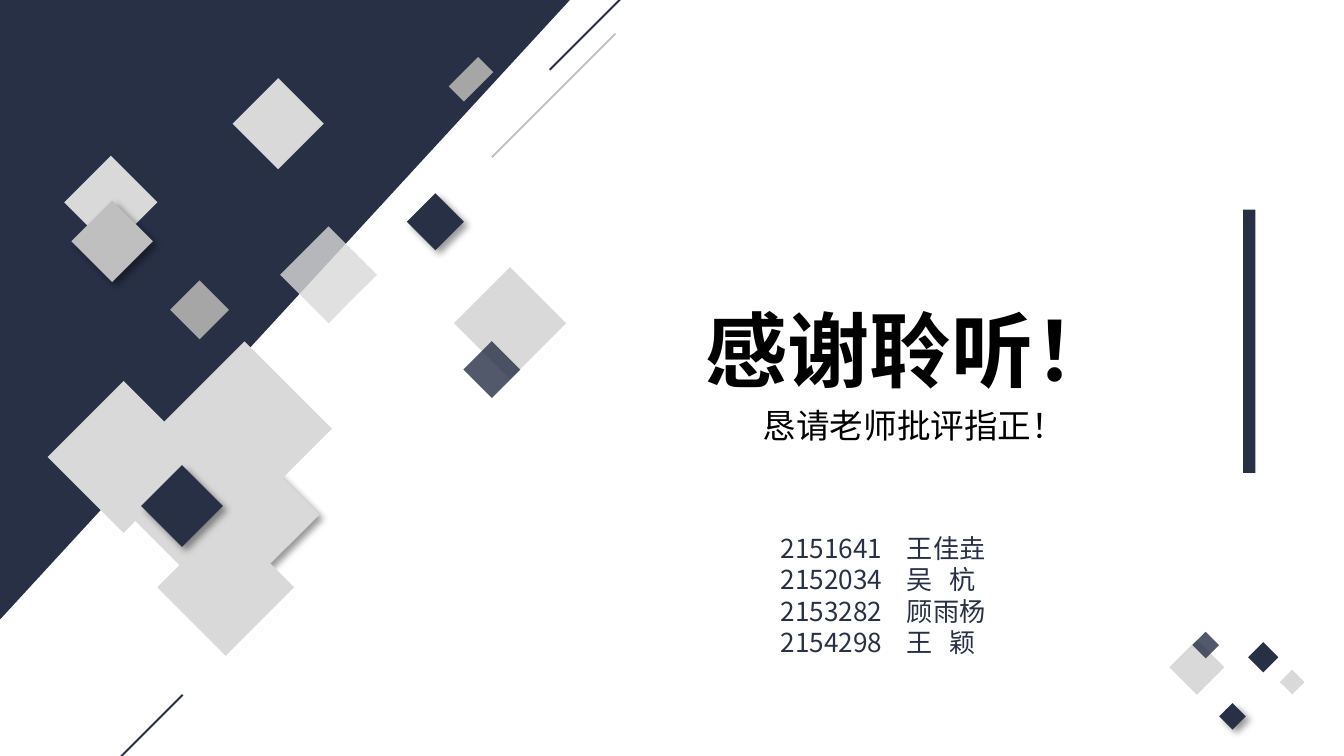
from dataclasses import dataclass
from typing import Optional

from lxml import etree
from pptx import Presentation
from pptx import util as u
from pptx.dml.color import RGBColor
from pptx.enum import shapes, text
from pptx.oxml import ns

NAVY, LIGHT, SILVER, GREY, BLACK = "273045", "D9D9D9", "BFBFBF", "A6A6A6", "000000"
FONT = "Noto Sans CJK SC"
LINE_HEIGHT = 1.21
PAGE_WIDTH = 10
PAGE_HEIGHT = PAGE_WIDTH * 9 / 16


@dataclass
class Tile:
    left: float
    top: float
    width: float
    fill: str
    height: Optional[float] = None
    shadow: bool = False
    opacity: int = 100
    turn: int = 315


@dataclass
class Stroke:
    left: float
    bottom: float
    color: str


@dataclass
class Style:
    size: int
    color: str
    bold: bool = False
    align: text.PP_ALIGN = text.PP_ALIGN.LEFT


SCATTERED = [
    Tile(1.83, 0.68, 0.48, LIGHT),
    Tile(1.33, 2.15, 0.31, GREY),
    Tile(0.58, 1.26, 0.49, LIGHT),
    Tile(0.62, 1.58, 0.43, SILVER, shadow=True),
    Tile(3.35, 0.51, 0.31, GREY, height=0.16),
    Tile(3.5, 2.11, 0.59, LIGHT),
    Tile(3.09, 1.5, 0.3, NAVY, shadow=True),
    Tile(3.51, 2.6, 0.3, NAVY, opacity=80),
    Tile(2.19, 1.79, 0.51, LIGHT, opacity=80),
]
CLUSTER = [
    Tile(0.52, 3, 0.8, LIGHT),
    Tile(1.58, 3.5, 0.66, LIGHT, shadow=True),
    Tile(1.36, 3.34, 0.41, LIGHT),
    Tile(1.32, 4.01, 0.72, LIGHT),
    Tile(1.05, 3.41, 0.72, LIGHT),
    Tile(1.36, 2.73, 0.92, LIGHT),
]
CORNER = [
    Tile(9.32, 4.81, 0.16, NAVY),
    Tile(9.55, 5.01, 0.13, LIGHT),
    Tile(8.76, 4.82, 0.29, LIGHT, turn=135),
    Tile(9.1, 5.26, 0.14, NAVY, shadow=True, turn=135),
    Tile(8.9, 4.73, 0.14, NAVY, opacity=80, turn=135),
]
CLUSTER_ACCENT = Tile(1.14, 3.55, 0.43, NAVY, shadow=True)
SIDE_BAR = Tile(9.25, 1.56, 0.09, NAVY, height=1.96, turn=0)
STROKES = [Stroke(4.09, 0.52, NAVY), Stroke(3.66, 1.17, SILVER), Stroke(0.44, 6.09, NAVY)]
STROKE_SPAN = 0.92
MEMBERS = ["2151641\t王佳垚", "2152034\t吴\t杭", "2153282\t顾雨杨", "2154298\t王\t颖"]
MEMBER_TABS = [0.94, 1.26]


def rgb(color: str) -> RGBColor:
    return RGBColor.from_string(color)


def add_node(parent, tag: str, **attributes):
    node = etree.SubElement(parent, ns.qn(tag))
    for name, value in attributes.items():
        node.set(name, str(value))
    return node


def paint(shape, color: str) -> None:
    shape.shadow.inherit = False
    shape.fill.solid()
    shape.fill.fore_color.rgb = rgb(color)
    shape.line.fill.background()


def cast_shadow(shape) -> None:
    effects = shape._element.spPr.find(ns.qn("a:effectLst"))
    outer = add_node(effects, "a:outerShdw", blurRad=u.Pt(4), dist=u.Pt(3),
                     dir=45 * 60000, algn="tl", rotWithShape=0)
    add_node(add_node(outer, "a:srgbClr", val=BLACK), "a:alpha", val=40000)


def draw_tile(container, tile: Tile) -> None:
    shape = container.add_shape(
        shapes.MSO_SHAPE.RECTANGLE, u.Inches(tile.left), u.Inches(tile.top),
        u.Inches(tile.width), u.Inches(tile.height or tile.width))
    shape.rotation = tile.turn
    paint(shape, tile.fill)
    if tile.opacity < 100:
        color = shape._element.spPr.find(f".//{ns.qn('a:srgbClr')}")
        add_node(color, "a:alpha", val=tile.opacity * 1000)
    if tile.shadow:
        cast_shadow(shape)


def draw_tiles(container, tiles: list[Tile]) -> None:
    for tile in tiles:
        draw_tile(container, tile)


def draw_stroke(container, stroke: Stroke) -> None:
    line = container.add_connector(
        shapes.MSO_CONNECTOR.STRAIGHT, u.Inches(stroke.left), u.Inches(stroke.bottom),
        u.Inches(stroke.left + STROKE_SPAN), u.Inches(stroke.bottom - STROKE_SPAN))
    line.line.color.rgb = rgb(stroke.color)
    line.line.width = u.Pt(1)
    add_node(line._element.spPr, "a:effectLst")


def place(box, left: float, top: float, width: float, height: float) -> None:
    box.left, box.top = u.Inches(left), u.Inches(top)
    box.width, box.height = u.Inches(width), u.Inches(height)


def write(box, words: str, style: Style) -> None:
    frame = box.text_frame
    frame.text = words
    frame.word_wrap = True
    frame.auto_size = text.MSO_AUTO_SIZE.NONE
    frame.vertical_anchor = text.MSO_ANCHOR.TOP
    for para in frame.paragraphs:
        para.alignment = style.align
        para.space_before = u.Pt(0)
        para.line_spacing = u.Pt(round(style.size * LINE_HEIGHT, 1))
        for span in para.runs:
            span.font.name = FONT
            span.font.size = u.Pt(style.size)
            span.font.bold = style.bold
            span.font.color.rgb = rgb(style.color)
            add_node(span.font._element, "a:ea", typeface=FONT)


def set_tabs(box, stops: list[float]) -> None:
    for para in box.text_frame.paragraphs:
        tabs = add_node(para._p.get_or_add_pPr(), "a:tabLst")
        for stop in stops:
            add_node(tabs, "a:tab", pos=u.Inches(stop), algn="l")


def main() -> None:
    deck = Presentation()
    deck.slide_width, deck.slide_height = u.Inches(PAGE_WIDTH), u.Inches(PAGE_HEIGHT)
    page = deck.slides.add_slide(deck.slide_layouts[0])
    canvas = page.shapes

    wedge = canvas.add_shape(shapes.MSO_SHAPE.ISOSCELES_TRIANGLE, u.Inches(-0.19),
                             u.Inches(0.18), u.Inches(4.62), u.Inches(4.25))
    wedge.adjustments[0] = 0
    wedge.rotation = 90
    paint(wedge, NAVY)

    draw_tiles(canvas, SCATTERED)
    for tiles in (CLUSTER, CORNER):
        draw_tiles(canvas.add_group_shape().shapes, tiles)
    for stroke in STROKES:
        draw_stroke(canvas, stroke)
    draw_tiles(canvas, [SIDE_BAR, CLUSTER_ACCENT])

    title = canvas.title
    place(title, 5.15, 2.17, 3.39, 0.84)
    write(title, "感谢聆听！", Style(44, BLACK, bold=True))

    request = page.placeholders[1]
    place(request, 4.45, 2.96, 4.7, 0.4)
    write(request, "恳请老师批评指正！", Style(18, BLACK, align=text.PP_ALIGN.CENTER))

    members = canvas.add_textbox(u.Inches(5.71), u.Inches(3.91), u.Inches(2.3), u.Inches(1.04))
    write(members, "\n".join(MEMBERS), Style(14, NAVY))
    set_tabs(members, MEMBER_TABS)

    deck.save("out.pptx")


if __name__ == "__main__":
    main()
